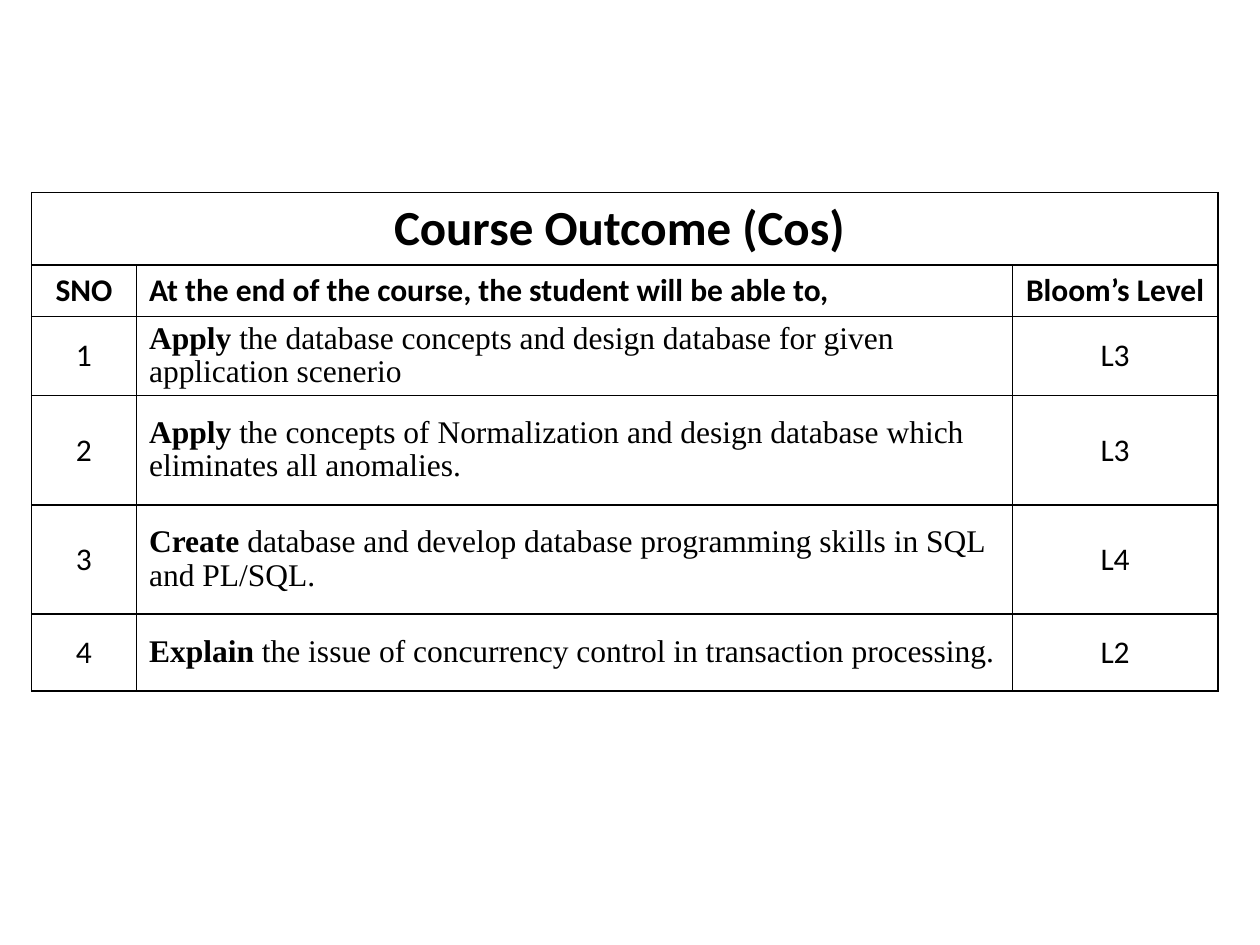
from dataclasses import dataclass

from lxml import etree
from pptx import Presentation
from pptx.dml.color import RGBColor
from pptx.enum.text import MSO_ANCHOR, PP_ALIGN
from pptx.oxml.ns import qn
from pptx.util import Pt

LEFT, CENTER = PP_ALIGN.LEFT, PP_ALIGN.CENTER
TOP, MIDDLE = MSO_ANCHOR.TOP, MSO_ANCHOR.MIDDLE

# Content
TITLE = "Course Outcome (Cos) "
HEADINGS = ("SNO", "At the end of the course, the student will be able to,", "Bloom’s Level ")
OUTCOMES = [
    ("Apply ", "the database concepts and design database for given application scenerio", "L3"),
    ("Apply ", "the concepts of Normalization and design database which eliminates all anomalies. ", "L3"),
    ("Create ", "database and develop database programming skills in SQL and PL/SQL.", "L4"),
    ("Explain ", "the issue of concurrency control in transaction processing. ", "L2"),
]
COLUMN_WIDTHS = (60, 500.5, 117.5)
ROW_HEIGHTS = (35.5, 29.5, 44, 62.5, 62.5, 44)
COLUMN_ALIGNMENTS = (CENTER, LEFT, CENTER)


@dataclass(frozen=True)
class Theme:
    ink: RGBColor = RGBColor(0, 0, 0)
    paper: RGBColor = RGBColor(255, 255, 255)
    sans: str = "Calibri"
    serif: str = "Times New Roman"
    title_size: int = 28
    body_size: int = 18
    border_width: int = 1
    outcome_spacing: float = 0.95


THEME = Theme()


def add_borders(cell):
    """Draw all four edges; edge lines come before the fill in the cell properties."""
    properties = cell._tc.get_or_add_tcPr()
    for index, edge in enumerate(("a:lnL", "a:lnR", "a:lnT", "a:lnB")):
        line = etree.Element(qn(edge), w=str(Pt(THEME.border_width)))
        fill = etree.SubElement(line, qn("a:solidFill"))
        etree.SubElement(fill, qn("a:srgbClr"), val=str(THEME.ink))
        properties.insert(index, line)


def write_cell(cell, runs, alignment, anchor=TOP, font=THEME.sans, size=THEME.body_size, spacing=None):
    """Fill a cell with (text, bold) runs."""
    cell.vertical_anchor = anchor
    paragraph = cell.text_frame.paragraphs[0]
    paragraph.alignment = alignment
    if spacing:
        paragraph.line_spacing = spacing
    for text, bold in runs:
        run = paragraph.add_run()
        run.text = text
        run.font.name = font
        run.font.size = Pt(size)
        run.font.bold = bold
        run.font.color.rgb = THEME.ink


# Slide
presentation = Presentation()
presentation.slide_width, presentation.slide_height = Pt(720), Pt(540)
slide = presentation.slides.add_slide(presentation.slide_layouts[6])

# Table grid
table = slide.shapes.add_table(
    len(ROW_HEIGHTS), len(COLUMN_WIDTHS),
    Pt(18), Pt(110), Pt(sum(COLUMN_WIDTHS)), Pt(sum(ROW_HEIGHTS)),
).table
table.first_row = table.horz_banding = False
for column, width in zip(table.columns, COLUMN_WIDTHS):
    column.width = Pt(width)
for row, height in zip(table.rows, ROW_HEIGHTS):
    row.height = Pt(height)
for cell in table.iter_cells():
    cell.fill.solid()
    cell.fill.fore_color.rgb = THEME.paper
    add_borders(cell)

# Title and headings
table.cell(0, 0).merge(table.cell(0, len(COLUMN_WIDTHS) - 1))
write_cell(table.cell(0, 0), [(TITLE, True)], CENTER, size=THEME.title_size)
for column, (heading, alignment) in enumerate(zip(HEADINGS, COLUMN_ALIGNMENTS)):
    write_cell(table.cell(1, column), [(heading, True)], alignment)

# Outcomes
for number, (verb, outcome, level) in enumerate(OUTCOMES, start=1):
    number_cell, outcome_cell, level_cell = table.rows[number + 1].cells
    write_cell(number_cell, [(str(number), False)], CENTER, MIDDLE)
    write_cell(outcome_cell, [(verb, True), (outcome, False)], LEFT, MIDDLE,
               font=THEME.serif, spacing=THEME.outcome_spacing)
    write_cell(level_cell, [(level, False)], CENTER, MIDDLE)

presentation.save("out.pptx")
